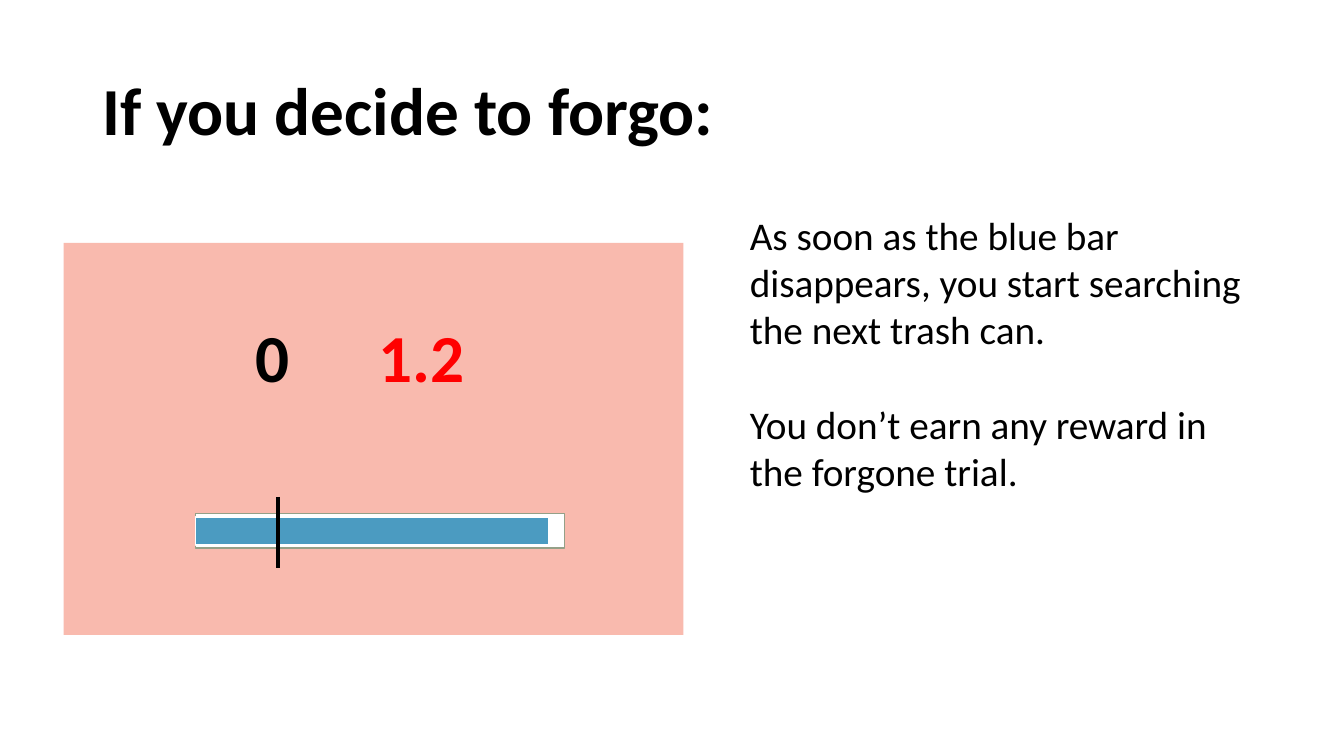
"""Build the slide that explains what happens after forgoing a trial."""
from pptx import Presentation
from pptx.dml.color import RGBColor
from pptx.enum.shapes import MSO_CONNECTOR, MSO_SHAPE
from pptx.enum.text import MSO_ANCHOR
from pptx.oxml.ns import qn
from pptx.util import Pt
from lxml.etree import SubElement

FONT = "Calibri"
BLACK, WHITE, RED = "000000", "FFFFFF", "FF0000"

TITLE = ["If you decide to forgo:"]
ADVICE = [
    "As soon as the blue bar disappears, you start searching the next trash can.",
    "You don’t earn any reward in the forgone trial.",
]
TEXTS = [
    (TITLE, (66, 28.8, 828, 104.4), 48, True, BLACK, MSO_ANCHOR.MIDDLE, 0.9),
    (ADVICE, (528.5, 147.6, 366, 211), 28, False, BLACK, MSO_ANCHOR.TOP, 1),
    (["0"], (175.7, 221.8, 67, 65.5), 48, True, BLACK, MSO_ANCHOR.TOP, 1),
    (["1.2"], (263.5, 221.8, 97, 65.5), 48, True, RED, MSO_ANCHOR.TOP, 1),
]
PARAGRAPH_GAP = 34

SCREEN = (45.4, 173.5, 442.8, 280)
TRACK = (139.7, 367, 263.5, 24.5)
BAR_WIDTH, BAR_HEIGHT = 252, 20.2
MARKER_X, MARKER_TOP, MARKER_BOTTOM = 198.7, 355, 405.4


def color(value):
    return RGBColor.from_string(value)


def add_rectangle(page, frame, fill, line=None):
    shape = page.shapes.add_shape(MSO_SHAPE.RECTANGLE, *map(Pt, frame))
    shape.shadow.inherit = False
    shape.fill.solid()
    shape.fill.fore_color.rgb = color(fill)
    if line:
        shape.line.color.rgb = color(line)
        shape.line.width = Pt(1)
    else:
        shape.line.fill.background()


def add_text(page, paragraphs, frame, size, bold, shade, anchor, spacing):
    box = page.shapes.add_textbox(*map(Pt, frame)).text_frame
    box.word_wrap = True
    box.vertical_anchor = anchor
    for index, words in enumerate(paragraphs):
        para = box.add_paragraph() if index else box.paragraphs[0]
        para.line_spacing = spacing
        if index:
            para.space_before = Pt(PARAGRAPH_GAP)
        span = para.add_run()
        span.text = words
        span.font.name = FONT
        span.font.size = Pt(size)
        span.font.bold = bold
        span.font.color.rgb = color(shade)


def add_marker(page):
    marker = page.shapes.add_connector(
        MSO_CONNECTOR.STRAIGHT,
        Pt(MARKER_X), Pt(MARKER_TOP), Pt(MARKER_X), Pt(MARKER_BOTTOM))
    marker.line.color.rgb = color(BLACK)
    marker.line.width = Pt(3)
    SubElement(marker.element.spPr, qn("a:effectLst"))


def main():
    deck = Presentation()
    deck.slide_width, deck.slide_height = Pt(960), Pt(540)
    page = deck.slides.add_slide(deck.slide_layouts[6])

    left, top, _, height = TRACK
    bar = (left, top + (height - BAR_HEIGHT) / 2, BAR_WIDTH, BAR_HEIGHT)
    add_rectangle(page, SCREEN, "F9BAAE")
    add_rectangle(page, TRACK, WHITE, "94A088")
    add_rectangle(page, bar, "4B9BC1", WHITE)
    add_marker(page)
    for text in TEXTS:
        add_text(page, *text)
    deck.save("out.pptx")


if __name__ == "__main__":
    main()
